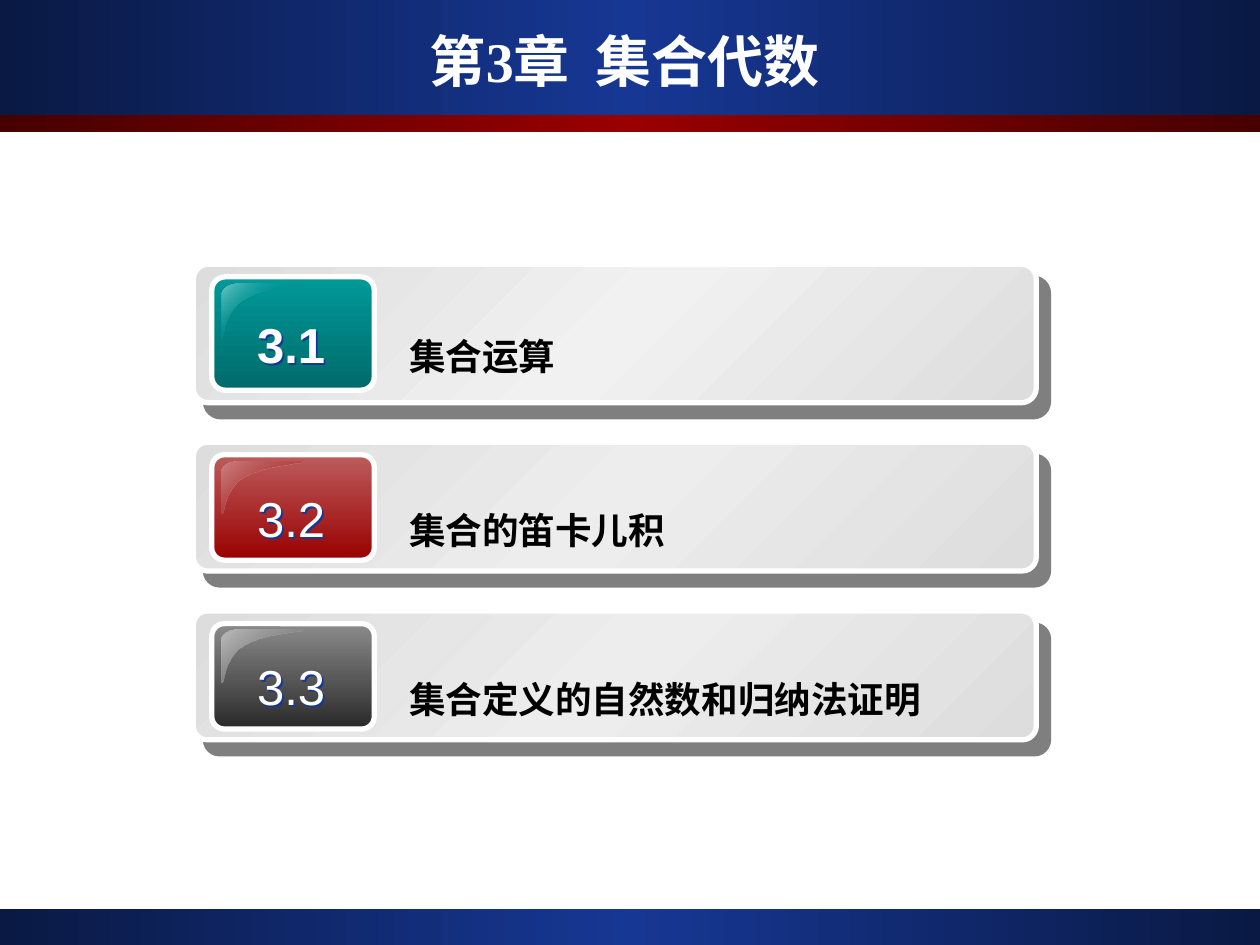
from lxml import etree
from pptx import Presentation
from pptx.dml.color import RGBColor
from pptx.enum.shapes import MSO_SHAPE as Preset
from pptx.enum.text import MSO_ANCHOR as Anchor, MSO_AUTO_SIZE as AutoSize, PP_ALIGN as Align
from pptx.oxml.ns import qn
from pptx.util import Pt

COLORS = {
    "navy": "0A1944", "blue": "163794", "maroon": "460000", "red": "990000",
    "silver": "DDDDDD", "pale": "F1F1F1", "mist": "EDEDED",
    "white": "FFFFFF", "black": "000000",
    "teal": "009999", "deep_teal": "006A6A", "light_teal": "73C6C6",
    "rose": "BD5C5C", "light_rose": "CC8282",
    "gray": "8B8B8B", "charcoal": "292929", "mid_gray": "777777", "light_gray": "BCBCBC",
}

SECTIONS = [
    dict(number="3.1", label="集合运算", top=151, height=79.2, center="pale",
         badge=("teal", "deep_teal"), badge_height=64.8,
         gloss=[(0, "light_teal", 100), (50, "teal", 0), (100, "light_teal", 100)],
         number_top=176, number_height=41, label_top=163.4, bold=True, spacing=1),
    dict(number="3.2", label="集合的笛卡儿积", top=252.7, height=73.6, center="mist",
         badge=("rose", "red"), badge_height=60.2,
         gloss=[(0, "red", 0), (100, "light_rose", 100)],
         number_top=279.4, number_height=37.4, label_top=262.8, bold=False, spacing=0.9),
    dict(number="3.3", label="集合定义的自然数和归纳法证明", top=349.2, height=73.6, center="mist",
         badge=("gray", "charcoal"), badge_height=60.2,
         gloss=[(0, "mid_gray", 0), (100, "light_gray", 100)],
         number_top=378, number_height=34.6, label_top=359.3, bold=False, spacing=0.8),
]

GLOSS_CURVES = [
    [(0.2, 0), (0.09, 0), (0, 0.09), (0, 0.2)],
    [(0, 1), (0.05, 1.02), (0.02, 0.53), (0.27, 0.31)],
    [(0.27, 0.31), (0.53, 0.07), (1, 0.07), (1, 0)],
]
CURVE_STEPS = 12


def rgb(name):
    return RGBColor.from_string(COLORS[name])


def add_color(parent, name, opacity):
    color = etree.SubElement(parent, qn("a:srgbClr"), val=COLORS[name])
    if opacity < 100:
        etree.SubElement(color, qn("a:alpha"), val=str(opacity * 1000))


def fill_gradient(shape, stops, angle):
    shape.fill.background()
    properties = shape.element.spPr
    gradient = etree.Element(qn("a:gradFill"), rotWithShape="1")
    stop_list = etree.SubElement(gradient, qn("a:gsLst"))
    for position, name, opacity in stops:
        stop = etree.SubElement(stop_list, qn("a:gs"), pos=str(position * 1000))
        add_color(stop, name, opacity)
    etree.SubElement(gradient, qn("a:lin"), ang=str(angle * 60000), scaled="0")
    properties.replace(properties.find(qn("a:noFill")), gradient)


def cast_shadow(shape, name, opacity, distance, angle):
    shape.shadow.inherit = False
    effects = shape.element.spPr.find(qn("a:effectLst"))
    shadow = etree.SubElement(effects, qn("a:outerShdw"), dist=str(Pt(distance)),
                              dir=str(angle * 60000), algn="ctr", rotWithShape="0")
    add_color(shadow, name, opacity)


def add_bar(slide, top, height, edge, center):
    bar = slide.shapes.add_shape(Preset.RECTANGLE, 0, Pt(top), Pt(720), Pt(height))
    fill_gradient(bar, [(0, edge, 100), (50, center, 100), (100, edge, 100)], 180)
    bar.line.fill.background()
    bar.shadow.inherit = False


def add_card(group, left, top, width, height, rounding, stops, angle):
    card = group.shapes.add_shape(Preset.ROUNDED_RECTANGLE, Pt(left), Pt(top), Pt(width), Pt(height))
    card.adjustments[0] = rounding
    fill_gradient(card, stops, angle)
    card.line.color.rgb = rgb("white")
    card.line.width = Pt(3)
    card.shadow.inherit = False
    return card


def curve_points(controls):
    for step in range(CURVE_STEPS + 1):
        t = step / CURVE_STEPS
        weights = ((1 - t) ** 3, 3 * t * (1 - t) ** 2, 3 * t * t * (1 - t), t ** 3)
        yield tuple(sum(w * point[axis] for w, point in zip(weights, controls)) for axis in (0, 1))


def add_gloss(group, left, top, width, height, stops):
    outline = [(Pt(left + x * width), Pt(top + y * height))
               for controls in GLOSS_CURVES for x, y in curve_points(controls)]
    builder = group.shapes.build_freeform(*outline[0])
    builder.add_line_segments(outline[1:], close=True)
    gloss = builder.convert_to_shape()
    fill_gradient(gloss, stops, 225)
    gloss.line.fill.background()
    gloss.shadow.inherit = False


def style_text(paragraph, font_name, size, color, bold):
    for run in paragraph.runs:
        run.font.name = font_name
        run.font.size = Pt(size)
        run.font.bold = bold
        run.font.color.rgb = rgb(color)


def add_text(group, text, left, top, width, height, size, color, bold, wrap):
    box = group.shapes.add_textbox(Pt(left), Pt(top), Pt(width), Pt(height))
    frame = box.text_frame
    frame.text = text
    frame.word_wrap = wrap
    frame.auto_size = AutoSize.SHAPE_TO_FIT_TEXT
    style_text(frame.paragraphs[0], "Arial", size, color, bold)
    return box


def lower_baseline(box, percent):
    for properties in box.element.iter(qn("a:rPr")):
        properties.set("baseline", str(-percent * 1000))


def add_section(slide, section):
    group = slide.shapes.add_group_shape()
    top = section["top"]
    panel = add_card(group, 110.5, top, 481.7, section["height"], 0.109,
                     [(0, "silver", 100), (50, section["center"], 100), (100, "silver", 100)], 225)
    cast_shadow(panel, "black", 50, 10.6, 49)
    upper, lower = section["badge"]
    add_card(group, 121, top + 7.2, 92.9, section["badge_height"], 0.119,
             [(0, upper, 100), (100, lower, 100)], 90)
    add_gloss(group, 126.7, top + 10.8, 46.1, section["badge_height"] / 2, section["gloss"])
    number = add_text(group, section["number"], 139.7, section["number_top"], 53.3,
                      section["number_height"], 28, "white", section["bold"], False)
    number.text_frame.paragraphs[0].alignment = Align.CENTER
    number.text_frame.paragraphs[0].line_spacing = section["spacing"]
    cast_shadow(number, "blue", 100, 1.5, 45)
    label = add_text(group, section["label"], 226.8, section["label_top"], 354.2, 56.9,
                     36, "black", True, True)
    lower_baseline(label, 25)


def set_title(slide, text):
    title = slide.shapes.title
    title.left, title.top, title.width, title.height = Pt(24), Pt(12.2), Pt(666), Pt(44.6)
    frame = title.text_frame
    frame.text = text
    frame.vertical_anchor = Anchor.MIDDLE
    frame.auto_size = AutoSize.NONE
    frame.paragraphs[0].alignment = Align.CENTER
    style_text(frame.paragraphs[0], "Times New Roman", 32, "white", True)
    title.element.getparent().append(title.element)


def main():
    deck = Presentation()
    deck.slide_width, deck.slide_height = Pt(720), Pt(540)
    slide = deck.slides.add_slide(deck.slide_layouts[5])
    add_bar(slide, 519.5, 20.5, "navy", "blue")
    add_bar(slide, 0, 65.7, "navy", "blue")
    add_bar(slide, 65.7, 9.5, "maroon", "red")
    set_title(slide, "第3章  集合代数")
    for section in SECTIONS:
        add_section(slide, section)
    deck.save("out.pptx")


if __name__ == "__main__":
    main()
